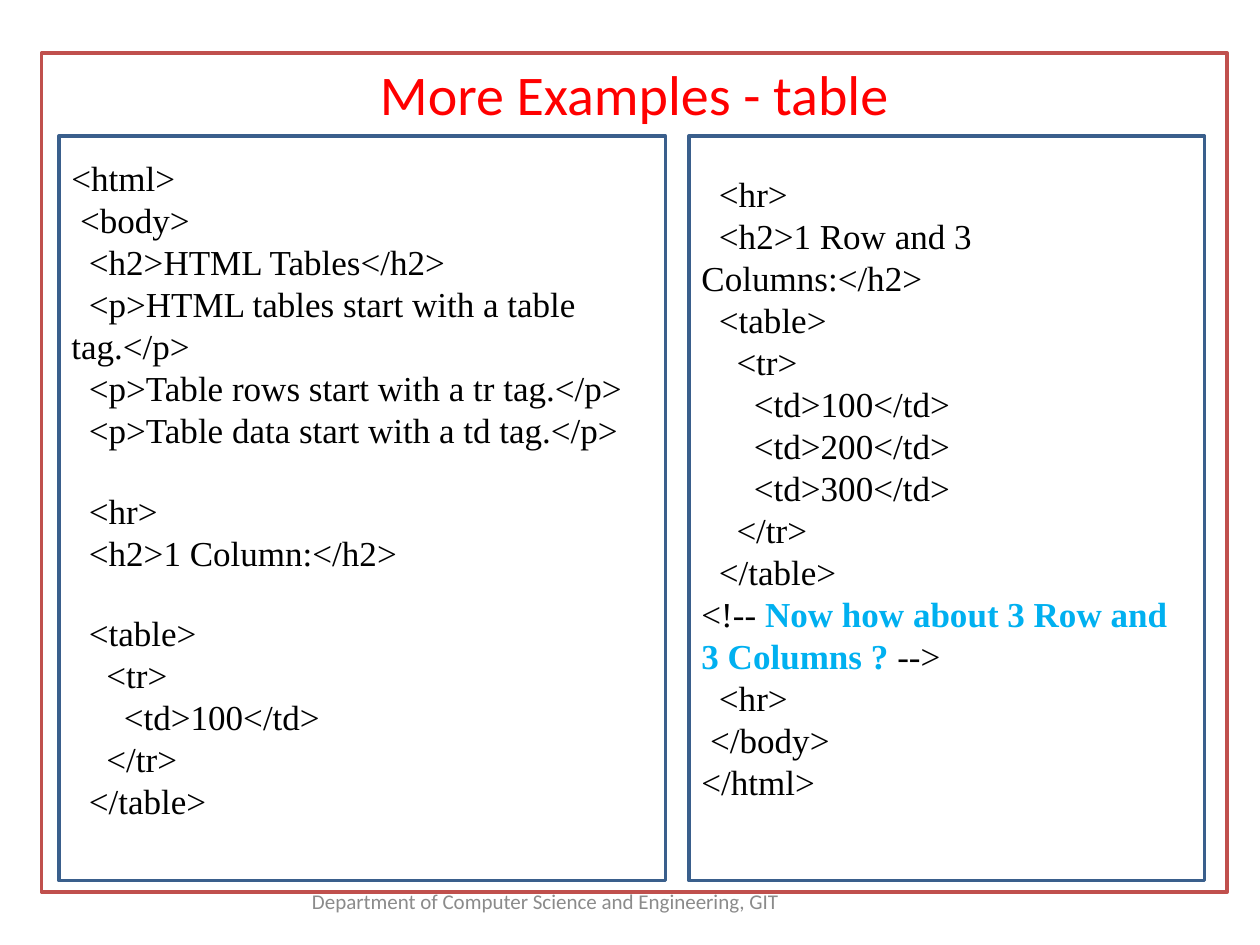
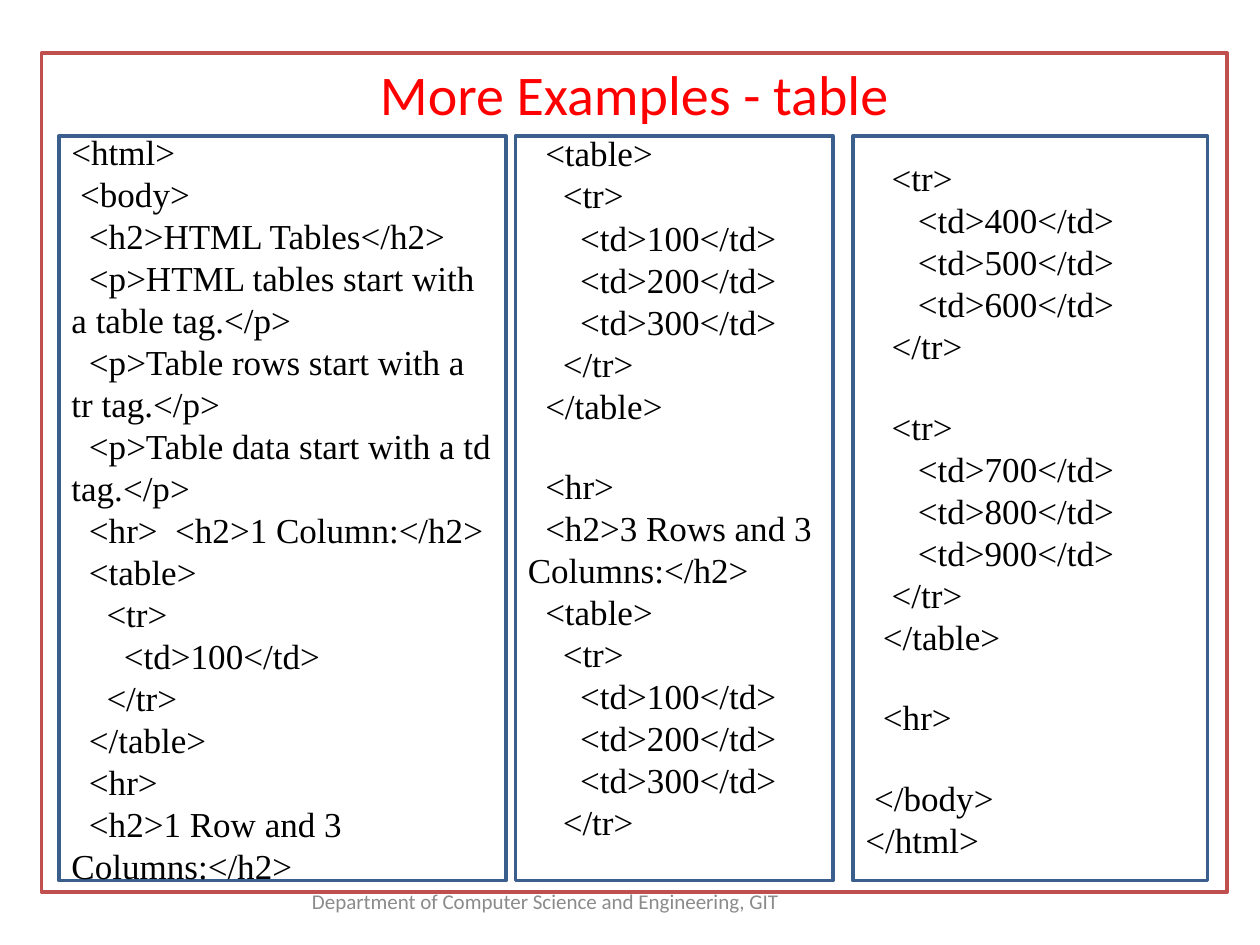
"""Build two slides of HTML table examples in framed code panels."""
import dataclasses
import typing

import pptx
import pptx.dml.color
import pptx.enum.shapes
import pptx.enum.text
import pptx.util

Pt = pptx.util.Pt
Align = pptx.enum.text.PP_ALIGN
Anchor = pptx.enum.text.MSO_ANCHOR


@dataclasses.dataclass(frozen=True)
class Theme:
    """Colours, fonts and type sizes shared by the slides."""
    frame: str = "C0504D"
    panel: str = "3A5F8C"
    title: str = "FF0000"
    footer: str = "8B8B8B"
    code: str = "000000"
    accent: str = "00B0F0"
    heading_font: str = "Calibri"
    code_font: str = "Times New Roman"
    title_size: float = 32
    footer_size: float = 12
    code_size: float = 20
    code_leading: float = 24
    blank_line: float = 22
    space_width: float = 5
    line_width: float = 2
    inset: float = 3.6


@dataclasses.dataclass(frozen=True)
class Panel:
    """A code panel with its horizontal place and extra space around the code."""
    left: float
    width: float
    code: str
    above: float = 0
    below: float = 0


THEME = Theme()
TITLE = "More Examples - table"
FOOTER = "Department of Computer Science and Engineering, GIT"
HIGHLIGHT = "Now how about 3 Row and 3 Columns ?"
PANEL_TOP, PANEL_HEIGHT = 77.75, 425.5

INTRO = """\
<html>
 <body>
  <h2>HTML Tables</h2>
  <p>HTML tables start with a table tag.</p>
  <p>Table rows start with a tr tag.</p>
  <p>Table data start with a td tag.</p>
"""
SINGLE_CELL = """\
  <table>
    <tr>
      <td>100</td>
    </tr>
  </table>
"""
FIRST_ROW = """\
  <table>
    <tr>
      <td>100</td>
      <td>200</td>
      <td>300</td>
    </tr>
"""
ROW_HEADING = """\
  <hr>
  <h2>1 Row and 3 Columns:</h2>
"""
CLOSING = """\
 </body>
</html>
"""


def table_row(first: int) -> str:
    """Return the code of a row with three cells, counted in hundreds."""
    cells = "".join(f"      <td>{first + step}</td>\n" for step in (0, 100, 200))
    return f"   <tr>\n{cells}   </tr>\n"


PAGES = [
    [
        Panel(393.75, 294.5,
              ROW_HEADING + FIRST_ROW + "  </table>\n"
              + f"<!-- {HIGHLIGHT} -->\n  <hr>\n" + CLOSING,
              above=THEME.blank_line, below=THEME.blank_line + THEME.code_leading),
        Panel(33.75, 346.5,
              INTRO + "\n  <hr>\n  <h2>1 Column:</h2>\n\n" + SINGLE_CELL,
              below=THEME.blank_line),
    ],
    [
        Panel(294.5, 181.5,
              FIRST_ROW + "  </table>\n\n  <hr>\n  <h2>3 Rows and 3 Columns:</h2>\n"
              + FIRST_ROW,
              below=THEME.code_leading),
        Panel(487.5, 202.5,
              table_row(400) + "\n" + table_row(700)
              + "  </table>\n\n  <hr>\n\n" + CLOSING),
        Panel(33.75, 255.5,
              INTRO + "  <hr>  <h2>1 Column:</h2>\n" + SINGLE_CELL + ROW_HEADING),
    ],
]


def apply_format(target: typing.Any, values: dict[str, typing.Any]) -> None:
    """Set each named attribute of the target."""
    for name, value in values.items():
        setattr(target, name, value)


def colour(code: str) -> pptx.dml.color.RGBColor:
    """Turn a hexadecimal code into a colour."""
    return pptx.dml.color.RGBColor.from_string(code)


def add_span(para: typing.Any, text: str, font: str, size: float,
             tint: str, bold: bool = False) -> None:
    """Add formatted text to a paragraph."""
    span = para.add_run()
    span.text = text
    apply_format(span.font, {"name": font, "size": Pt(size), "bold": bold})
    span.font.color.rgb = colour(tint)


def add_outline(page: typing.Any, left: float, top: float, width: float,
                height: float, tint: str) -> typing.Any:
    """Add an unfilled rectangle with a coloured outline."""
    box = page.shapes.add_shape(pptx.enum.shapes.MSO_SHAPE.RECTANGLE,
                                Pt(left), Pt(top), Pt(width), Pt(height))
    box.shadow.inherit = False
    box.fill.background()
    box.line.color.rgb = colour(tint)
    box.line.width = Pt(THEME.line_width)
    return box


def add_heading(box: typing.Any, text: str, size: float, tint: str,
                anchor: typing.Any) -> None:
    """Write one centred line into a box."""
    apply_format(box.text_frame, {"word_wrap": True, "vertical_anchor": anchor})
    para = box.text_frame.paragraphs[0]
    para.alignment = Align.CENTER
    add_span(para, text, THEME.heading_font, size, tint)


def add_code_line(para: typing.Any, line: str, gap: float) -> None:
    """Write a line of code with first-line indent and its highlighted words."""
    code = line.lstrip()
    apply_format(para, {"alignment": Align.LEFT, "space_before": Pt(gap),
                        "line_spacing": Pt(THEME.code_leading)})
    indent = Pt(THEME.space_width * (len(line) - len(code)))
    para._p.get_or_add_pPr().set("indent", str(indent))
    before, highlight, after = code.partition(HIGHLIGHT)
    for text, tint in ((before, THEME.code), (highlight, THEME.accent),
                       (after, THEME.code)):
        if text:
            add_span(para, text, THEME.code_font, THEME.code_size, tint,
                     bold=tint == THEME.accent)


def add_panel(page: typing.Any, panel: Panel) -> None:
    """Draw a code panel, turning blank code lines into paragraph spacing."""
    box = add_outline(page, panel.left, PANEL_TOP, panel.width, PANEL_HEIGHT,
                      THEME.panel)
    frame = box.text_frame
    apply_format(frame, {"word_wrap": True, "vertical_anchor": Anchor.MIDDLE,
                         "margin_top": Pt(THEME.inset + panel.above),
                         "margin_bottom": Pt(THEME.inset + panel.below)})
    para, gap = frame.paragraphs[0], 0
    for line in panel.code.splitlines():
        if not line:
            gap = THEME.blank_line
            continue
        if para.runs:
            para = frame.add_paragraph()
        add_code_line(para, line, gap)
        gap = 0


def add_page(deck: typing.Any, panels: list[Panel]) -> None:
    """Add a slide with the shared frame, title and footer, and its panels."""
    page = deck.slides.add_slide(deck.slide_layouts[6])
    frame = add_outline(page, 23.75, 30.25, 677.5, 479.5, THEME.frame)
    add_heading(frame, TITLE, THEME.title_size, THEME.title, Anchor.TOP)
    footer = page.shapes.add_textbox(Pt(149.75), Pt(500.5), Pt(324), Pt(28.75))
    add_heading(footer, FOOTER, THEME.footer_size, THEME.footer, Anchor.MIDDLE)
    for panel in panels:
        add_panel(page, panel)


def main() -> None:
    """Build and save the deck."""
    deck = pptx.Presentation()
    apply_format(deck, {"slide_width": Pt(720), "slide_height": Pt(540)})
    for panels in PAGES:
        add_page(deck, panels)
    deck.save("out.pptx")


if __name__ == "__main__":
    main()
